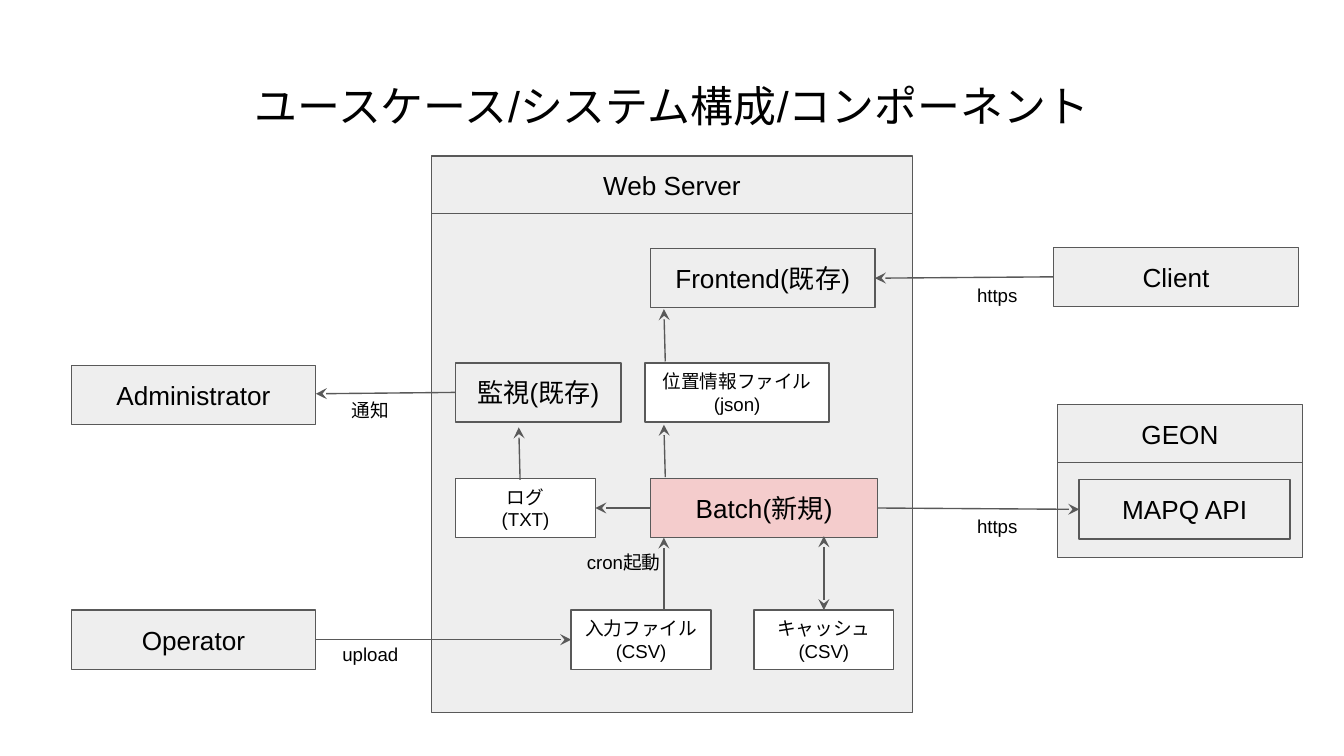
from lxml import etree
from pptx import Presentation, util as u
from pptx.dml.color import RGBColor
from pptx.enum import shapes, text
from pptx.oxml.ns import qn

# The grid has 100 columns of square cells across a 16:9 slide.
WIDTH = u.Inches(10)
HEIGHT = WIDTH * 9 // 16
CELL = WIDTH / 100
ROW = 4.4    # height of a component box
SEAM = 4.3   # offset from a panel's header to its body
GREY, PINK, WHITE, EDGE, BLACK = "EEEEEE", "F4CCCC", "FFFFFF", "595959", "000000"


def color(fmt, value):
    """Set a fill, line or font colour from a hex string."""
    fmt.rgb = RGBColor.from_string(value)


def cells(*values):
    """Turn grid cells into slide lengths."""
    return [round(v * CELL) for v in values]


def write(sp, words, size, anchor=text.MSO_ANCHOR.MIDDLE):
    """Put centred text in a shape, one paragraph a line."""
    tf = sp.text_frame
    tf.word_wrap = True
    tf.vertical_anchor = anchor
    tf.margin_left = tf.margin_right = tf.margin_top = tf.margin_bottom = u.Inches(0.1)
    tf.text = words
    for p in tf.paragraphs:
        p.alignment = text.PP_ALIGN.CENTER
        for r in p.runs:
            r.font.size, r.font.name = u.Pt(size), "Arial"
            color(r.font.color, BLACK)


def block(s, box, words="", fill=GREY, size=14):
    """Draw an outlined rectangle with optional text."""
    sp = s.shapes.add_shape(shapes.MSO_SHAPE.RECTANGLE, *cells(*box))
    sp.shadow.inherit = False
    sp.fill.solid()
    color(sp.fill.fore_color, fill)
    color(sp.line.color, EDGE)
    sp.line.width = u.Pt(0.75)
    if words:
        write(sp, words, size)


def label(s, box, words, size=10, anchor=text.MSO_ANCHOR.MIDDLE):
    """Place free text in a box."""
    write(s.shapes.add_textbox(*cells(*box)), words, size, anchor)


def arrow(s, x1, y1, x2, y2, both=False):
    """Draw a stealth arrow, pointing both ways on request."""
    c = s.shapes.add_connector(shapes.MSO_CONNECTOR.STRAIGHT, *cells(x1, y1, x2, y2))
    color(c.line.color, EDGE)
    c.line.width = u.Pt(0.75)
    ln = c._element.spPr.find(qn("a:ln"))
    for end in ["headEnd", "tailEnd"] if both else ["tailEnd"]:
        etree.SubElement(ln, qn("a:" + end), type="stealth")
    etree.SubElement(c._element.spPr, qn("a:effectLst"))


def panel(s, box, title):
    """Draw a titled header above an empty body."""
    x, y, w, h = box
    block(s, (x, y, w, ROW), title)
    block(s, (x, y + SEAM, w, h - SEAM))


def server(s, box):
    """Draw the web server with its components and data flow."""
    x, y = box[:2]
    panel(s, box, "Web Server")
    front, files, batch, inputs = 6.9, 15.4, 24, 33.8
    for dx, dy, w, words, fill, size in [
        (16.3, front, 16.7, "Frontend(既存)", GREY, 14),
        (1.8, files, 12.3, "監視(既存)", GREY, 14),
        (15.9, files, 13.7, "位置情報ファイル\n(json)", WHITE, 10),
        (1.8, batch, 10.4, "ログ\n(TXT)", WHITE, 10),
        (16.3, batch, 16.9, "Batch(新規)", PINK, 14),
        (10.4, inputs, 10.4, "入力ファイル\n(CSV)", WHITE, 10),
        (24, inputs, 10.4, "キャッシュ\n(CSV)", WHITE, 10),
    ]:
        block(s, (x + dx, y + dy, w, ROW), words, fill, size)
    for x1, y1, x2, y2, both in [
        (17.3, inputs, 17.3, batch + ROW, False),
        (17.4, batch - 0.1, 17.3, 20, False),
        (17.4, files - 0.1, 17.3, 11.4, False),
        (6.6, batch + 0.1, 6.5, 20.2, False),
        (16.3, batch + ROW / 2, 12.2, batch + ROW / 2, False),
        (29.2, inputs, 29.2, batch + ROW - 0.1, True),
    ]:
        arrow(s, x + x1, y + y1, x + x2, y + y2, both)
    label(s, (x + 10, y + 28.9, 8.6, 2.7), "cron起動")


def service(s, box):
    """Draw the external service with its API inside."""
    x, y = box[:2]
    panel(s, box, "GEON")
    block(s, (x + 1.6, y + 5.6, 15.7, ROW), "MAPQ API")


def actor(s, box, name, link, note, note_box):
    """Draw an actor, its link to the server and the link's label."""
    x, y = box[:2]
    block(s, box, name)
    x1, y1, x2, y2 = link
    arrow(s, x + x1, y + y1, x + x2, y + y2)
    dx, dy, w, h = note_box
    label(s, (x + dx, y + dy, w, h), note)


prs = Presentation()
prs.slide_width, prs.slide_height = WIDTH, HEIGHT
s = prs.slides.add_slide(prs.slide_layouts[6])
label(s, (3.4, 4.9, 93.2, 6.3), "ユースケース/システム構成/コンポーネント", 23, text.MSO_ANCHOR.TOP)
server(s, (32.1, 11.6, 35.8, 41.4))
service(s, (78.7, 30.1, 18.2, 11.4))
arrow(s, 65.3, 37.8, 80.3, 37.9)
label(s, (70.6, 37.8, 7.2, 2.7), "https")
left_note = (18.1, 1.95, 8.3, 2.7)
actor(s, (78.4, 18.4, 18.2, ROW), "Client", (0, 2.2, -13.3, 2.3), "https", (-7.8, 2.2, 7.2, 2.7))
actor(s, (5.3, 27.2, 18.2, ROW), "Administrator", (28.6, 2, 18.2, 2.1), "通知", left_note)
actor(s, (5.3, 45.4, 18.2, ROW), "Operator", (18.2, 2.2, 37.2, 2.2), "upload", left_note)
prs.save("out.pptx")
